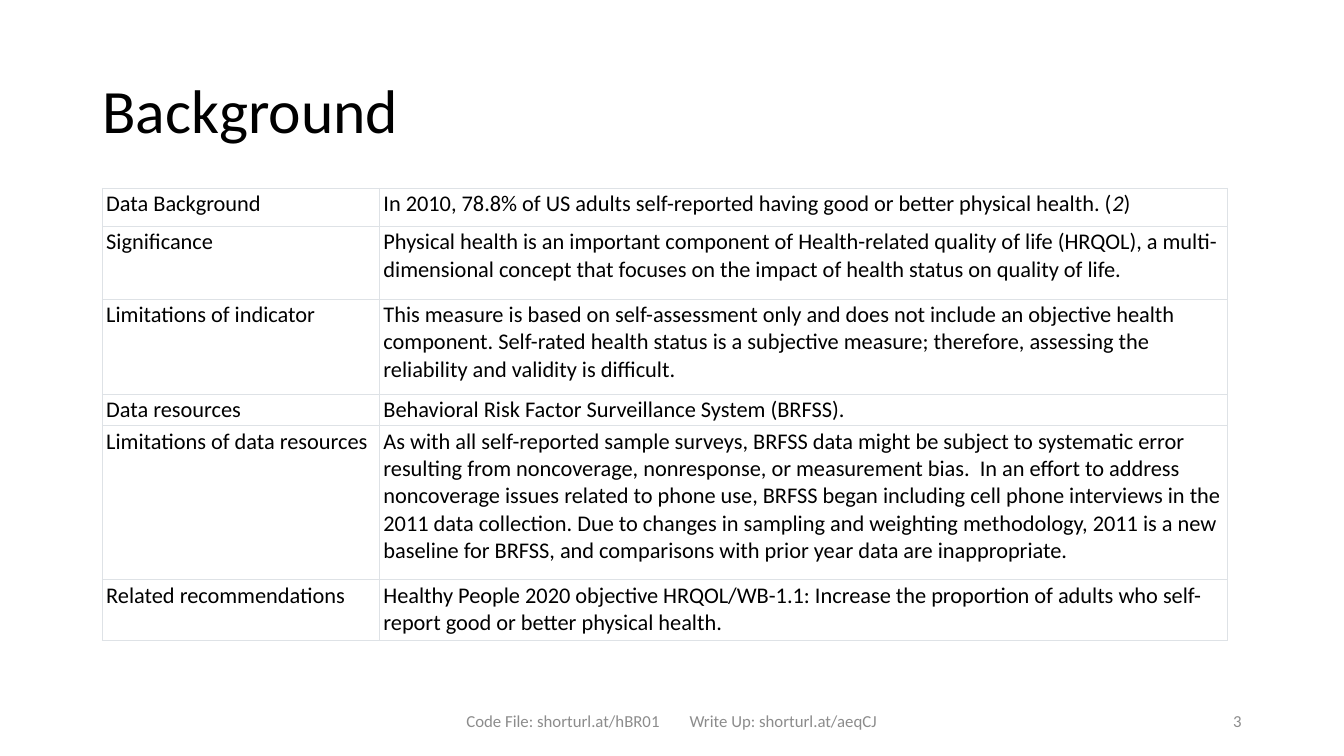
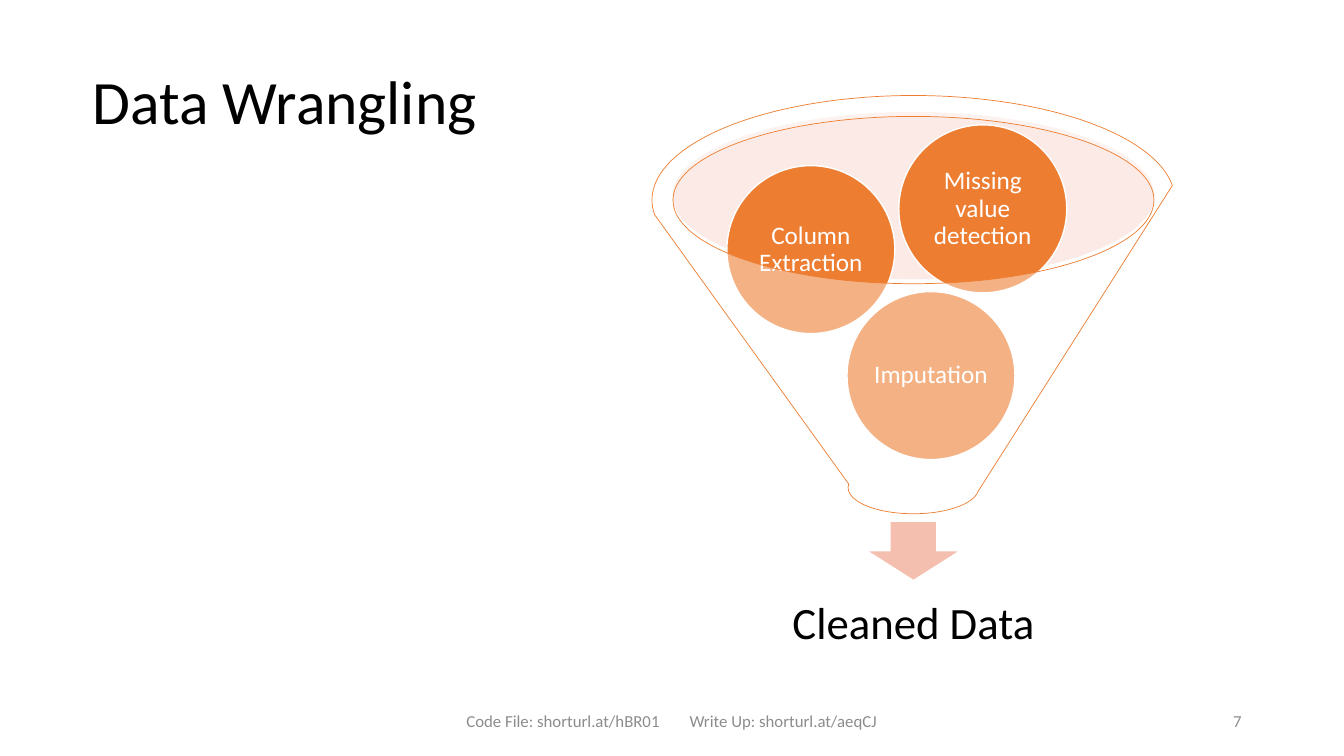
from dataclasses import dataclass

from lxml import etree
from pptx import Presentation
from pptx.dml.color import RGBColor
from pptx.enum.shapes import MSO_SHAPE as Shape
from pptx.enum.text import MSO_ANCHOR as Anchor, MSO_AUTO_SIZE as AutoSize, PP_ALIGN as Align
from pptx.oxml.ns import qn
from pptx.util import Pt


@dataclass(frozen=True)
class Theme:
    font: str = "Calibri"
    text: str = "000000"
    white: str = "FFFFFF"
    muted: str = "8C8C8C"
    border: str = "DEE2E6"
    accent: str = "ED7D31"
    mouth: str = "F6CCBE"
    arrow: str = "F4BFAE"
    title_size: int = 44
    result_size: int = 32
    step_size: int = 18
    table_size: int = 16
    footer_size: int = 12


THEME = Theme()

# Content
FOOTER_LINKS = ["Code File: shorturl.at/hBR01", "Write Up: shorturl.at/aeqCJ"]

BACKGROUND_TITLE = "Background"
# Each row: height, label, runs of the description as (text, italic)
BACKGROUND_ROWS = [
    (27.1, "Data Background", [
        ("In 2010, 78.8% of US adults self-reported having good or better physical health. (", False),
        ("2", True),
        (")", False)]),
    (52.1, "Significance", [
        ("Physical health is an important component of Health-related quality of life (HRQOL), "
         "a multi-dimensional concept that focuses on the impact of health status on quality of life.", False)]),
    (67.9, "Limitations of indicator", [
        ("This measure is based on self-assessment only and does not include an objective health "
         "component. Self-rated health status is a subjective measure; therefore, assessing the "
         "reliability and validity is difficult.", False)]),
    (19, "Data resources", [
        ("Behavioral Risk Factor Surveillance System (BRFSS).", False)]),
    (110, "Limitations of data resources", [
        ("As with all self-reported sample surveys, BRFSS data might be subject to systematic error "
         "resulting from noncoverage, nonresponse, or measurement bias.  In an effort to address "
         "noncoverage issues related to phone use, BRFSS began including cell phone interviews in the "
         "2011 data collection. Due to changes in sampling and weighting methodology, 2011 is a new "
         "baseline for BRFSS, and comparisons with prior year data are inappropriate.", False)]),
    (43.5, "Related recommendations", [
        ("Healthy People 2020 objective HRQOL/WB-1.1: Increase the proportion of adults who "
         "self-report good or better physical health.", False)]),
]
COLUMN_WIDTHS = [198, 605.5]

WRANGLING_TITLE = "Data Wrangling"
# Each step: text, left and top of its circle
WRANGLING_STEPS = [
    ("Imputation", 605, 208.3),
    ("Column Extraction", 519.2, 118.3),
    ("Missing value detection", 642, 89.2),
]
WRANGLING_RESULT = "Cleaned Data"
FUNNEL_CENTER = 652.5
CIRCLE_SIZE = 120


# Text and shape helpers
def add_run(paragraph, text, size, color, italic=False):
    run = paragraph.add_run()
    run.text = text
    run.font.name = THEME.font
    run.font.size = Pt(size)
    run.font.italic = italic
    run.font.color.rgb = RGBColor.from_string(color)


def write_text(shape, text, size, color, align, inset=(7.2, 3.6), spacing=None):
    frame = shape.text_frame
    frame.word_wrap = True
    frame.auto_size = AutoSize.NONE
    frame.vertical_anchor = Anchor.MIDDLE
    frame.margin_left = frame.margin_right = Pt(inset[0])
    frame.margin_top = frame.margin_bottom = Pt(inset[1])
    paragraph = frame.paragraphs[0]
    paragraph.alignment = align
    paragraph.line_spacing = spacing
    add_run(paragraph, text, size, color)


def add_text(shapes, box, text, size, color, align, **options):
    text_box = shapes.add_textbox(*map(Pt, box))
    write_text(text_box, text, size, color, align, **options)


def add_shape(shapes, kind, box, fill, line=None, width=1.0, opacity=None):
    shape = shapes.add_shape(kind, *map(Pt, box))
    shape.shadow.inherit = False
    shape.fill.solid()
    shape.fill.fore_color.rgb = RGBColor.from_string(fill)
    if opacity is not None:
        color = shape.fill._xPr.find(f"{qn('a:solidFill')}/{qn('a:srgbClr')}")
        etree.SubElement(color, qn("a:alpha"), val=str(opacity * 1000))
    if line:
        shape.line.color.rgb = RGBColor.from_string(line)
        shape.line.width = Pt(width)
    else:
        shape.line.fill.background()
    return shape


def centered_box(top, width, height):
    return FUNNEL_CENTER - width / 2, top, width, height


def set_borders(cell, color, width):
    properties = cell._tc.get_or_add_tcPr()
    for index, side in enumerate(("lnL", "lnR", "lnT", "lnB")):
        line = etree.Element(qn(f"a:{side}"), w=str(Pt(width)))
        fill = etree.SubElement(line, qn("a:solidFill"))
        etree.SubElement(fill, qn("a:srgbClr"), val=color)
        properties.insert(index, line)


# Title and footer shared by the slides
def add_slide(presentation, title, left, top, number):
    slide = presentation.slides.add_slide(presentation.slide_layouts[5])
    heading = slide.shapes.title
    heading.left, heading.top, heading.width, heading.height = map(Pt, (left, top, 828, 104.4))
    write_text(heading, title, THEME.title_size, THEME.text, Align.LEFT, spacing=0.9)
    footers = [
        ((318.5, 500.5, 160, 28.8), FOOTER_LINKS[0], Align.RIGHT),
        ((485.5, 500.5, 160, 28.8), FOOTER_LINKS[1], Align.LEFT),
        ((678, 500.5, 216, 28.8), str(number), Align.RIGHT),
    ]
    for box, text, align in footers:
        add_text(slide.shapes, box, text, THEME.footer_size, THEME.muted, align)
    return slide


def build_background(presentation):
    slide = add_slide(presentation, BACKGROUND_TITLE, 66, 28.8, 3)
    height = sum(row[0] for row in BACKGROUND_ROWS)
    table = slide.shapes.add_table(
        len(BACKGROUND_ROWS), len(COLUMN_WIDTHS),
        Pt(73), Pt(134.5), Pt(sum(COLUMN_WIDTHS)), Pt(height)).table
    table.first_row = table.horz_banding = False
    for column, width in zip(table.columns, COLUMN_WIDTHS):
        column.width = Pt(width)
    for row, (height, label, description) in zip(table.rows, BACKGROUND_ROWS):
        row.height = Pt(height)
        for cell, runs in zip(row.cells, ([(label, False)], description)):
            cell.margin_left = cell.margin_right = Pt(2.9)
            cell.margin_top = cell.margin_bottom = Pt(1.45)
            cell.fill.solid()
            cell.fill.fore_color.rgb = RGBColor.from_string(THEME.white)
            set_borders(cell, THEME.border, 0.5)
            for text, italic in runs:
                add_run(cell.text_frame.paragraphs[0], text, THEME.table_size, THEME.text, italic)


def build_wrangling(presentation):
    slide = add_slide(presentation, WRANGLING_TITLE, 59, 22.3, 7)
    shapes = slide.shapes.add_group_shape().shapes

    # Funnel mouth, arrow and result
    add_shape(shapes, Shape.OVAL, centered_box(80, 344, 119.5), THEME.mouth, opacity=40)
    add_shape(shapes, Shape.DOWN_ARROW, centered_box(372.2, 67, 42.5), THEME.arrow, THEME.white)
    add_text(shapes, centered_box(406.4, 320, 80), WRANGLING_RESULT, THEME.result_size,
             THEME.text, Align.CENTER, inset=(18, 18), spacing=0.9)

    # Steps, seen through the funnel; no inset, so that each word fits on a line
    for text, left, top in WRANGLING_STEPS:
        circle = add_shape(shapes, Shape.OVAL, (left, top, CIRCLE_SIZE, CIRCLE_SIZE),
                           THEME.accent, THEME.white)
        write_text(circle, text, THEME.step_size, THEME.white, Align.CENTER,
                   inset=(0, 0), spacing=0.9)
    add_shape(shapes, Shape.FUNNEL, centered_box(68.2, 373.5, 298.8),
              THEME.white, THEME.accent, 0.5, opacity=40)


def main():
    presentation = Presentation()
    presentation.slide_width, presentation.slide_height = Pt(960), Pt(540)
    build_background(presentation)
    build_wrangling(presentation)
    presentation.save("out.pptx")


if __name__ == "__main__":
    main()
